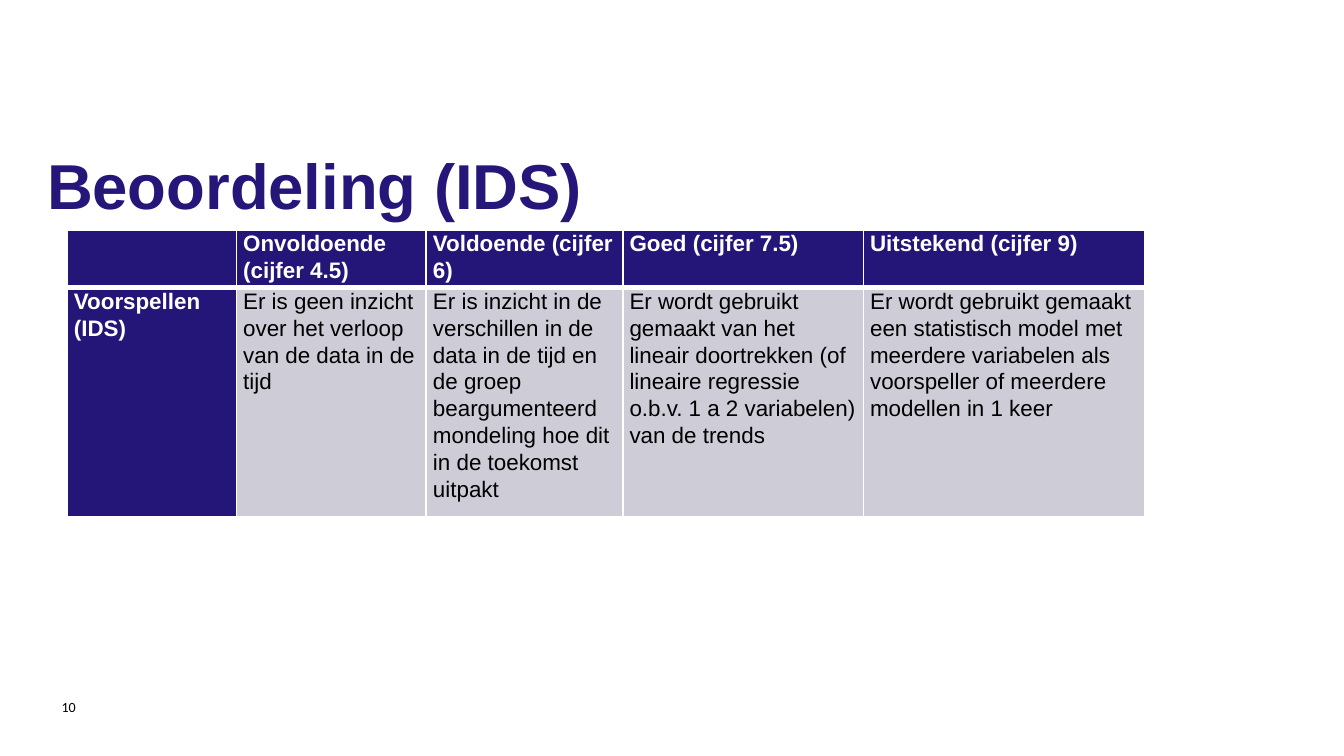
import pptx
import pptx.util
import pptx.dml.color
import pptx.enum.text
import pptx.oxml.ns
import lxml.etree

Pt = pptx.util.Pt
ANCHOR = pptx.enum.text.MSO_ANCHOR

COLORS = {"title": "25167A", "header": "241679", "body": "CDCCD7",
          "white": "FFFFFF", "black": "000000"}
TITLE = "Beoordeling (IDS)"
PAGE_NUMBER = "10"
RUBRIC = [
    ["", "Onvoldoende (cijfer 4.5)", "Voldoende (cijfer 6)",
     "Goed (cijfer 7.5)", "Uitstekend (cijfer 9)"],
    ["Voorspellen (IDS)",
     "Er is geen inzicht over het verloop van de data in de tijd",
     "Er is inzicht in de verschillen in de data in de tijd en de groep "
     "beargumenteerd mondeling hoe dit in de toekomst uitpakt",
     "Er wordt gebruikt gemaakt van het lineair doortrekken (of lineaire "
     "regressie o.b.v. 1 a 2 variabelen) van de trends",
     "Er wordt gebruikt gemaakt een statistisch model met meerdere variabelen "
     "als voorspeller of meerdere modellen in 1 keer"],
]
COL_WIDTHS = [90.7, 101.7, 105.3, 128.9, 150.5]
ROW_HEIGHTS = [30.2, 106.6]


def rgb(name):
    return pptx.dml.color.RGBColor.from_string(COLORS[name])


def write(tf, text, size=12, font="Arial", color="black", bold=False, spacing=None):
    tf.word_wrap = True
    p = tf.paragraphs[0]
    p.line_spacing = spacing
    p.font.size = Pt(size)
    if text:
        r = p.add_run()
        r.text = text
        r.font.size = Pt(size)
        r.font.name = font
        r.font.bold = bold
        r.font.color.rgb = rgb(color)


def add_text(s, box, text, margins=(0, 0), anchor=ANCHOR.TOP, **style):
    tf = s.shapes.add_textbox(*map(Pt, box)).text_frame
    tf.margin_left = tf.margin_right = Pt(margins[0])
    tf.margin_top = tf.margin_bottom = Pt(margins[1])
    tf.vertical_anchor = anchor
    write(tf, text, **style)


def set_borders(cell, widths):
    qn = pptx.oxml.ns.qn
    props = cell._tc.get_or_add_tcPr()
    for i, (side, width) in enumerate(widths.items()):
        ln = lxml.etree.Element(qn("a:ln" + side), w=str(int(Pt(width))))
        fill = lxml.etree.SubElement(ln, qn("a:solidFill"))
        lxml.etree.SubElement(fill, qn("a:srgbClr"), val=COLORS["white"])
        props.insert(i, ln)


def add_rubric(s, left, top):
    frame = s.shapes.add_table(len(RUBRIC), len(COL_WIDTHS), Pt(left), Pt(top),
                               Pt(sum(COL_WIDTHS)), Pt(sum(ROW_HEIGHTS)))
    table = frame.table
    for col, width in zip(table.columns, COL_WIDTHS):
        col.width = Pt(width)
    for i, (row, height) in enumerate(zip(RUBRIC, ROW_HEIGHTS)):
        table.rows[i].height = Pt(height)
        for j, text in enumerate(row):
            cell = table.cell(i, j)
            head = i == 0 or j == 0
            cell.margin_left = cell.margin_right = Pt(3.6)
            cell.margin_top = cell.margin_bottom = 0
            cell.fill.solid()
            cell.fill.fore_color.rgb = rgb("header" if head else "body")
            write(cell.text_frame, text, color="white" if head else "black",
                  bold=head, spacing=1.07)
            set_borders(cell, {"L": 1, "R": 1, "T": 1 if i == 0 else 3,
                               "B": 3 if i == 0 else 1})


prs = pptx.Presentation()
prs.slide_width, prs.slide_height = Pt(720), Pt(405)
s = prs.slides.add_slide(prs.slide_layouts[6])
add_text(s, (25.2, 78.5, 668.9, 87.1), TITLE, size=34, color="title", bold=True)
add_rubric(s, 36, 123.1)
add_text(s, (25.9, 367.9, 28.1, 21.6), PAGE_NUMBER, margins=(7.2, 3.6),
         anchor=ANCHOR.MIDDLE, size=7.5, font="Calibri")
prs.save("out.pptx")
